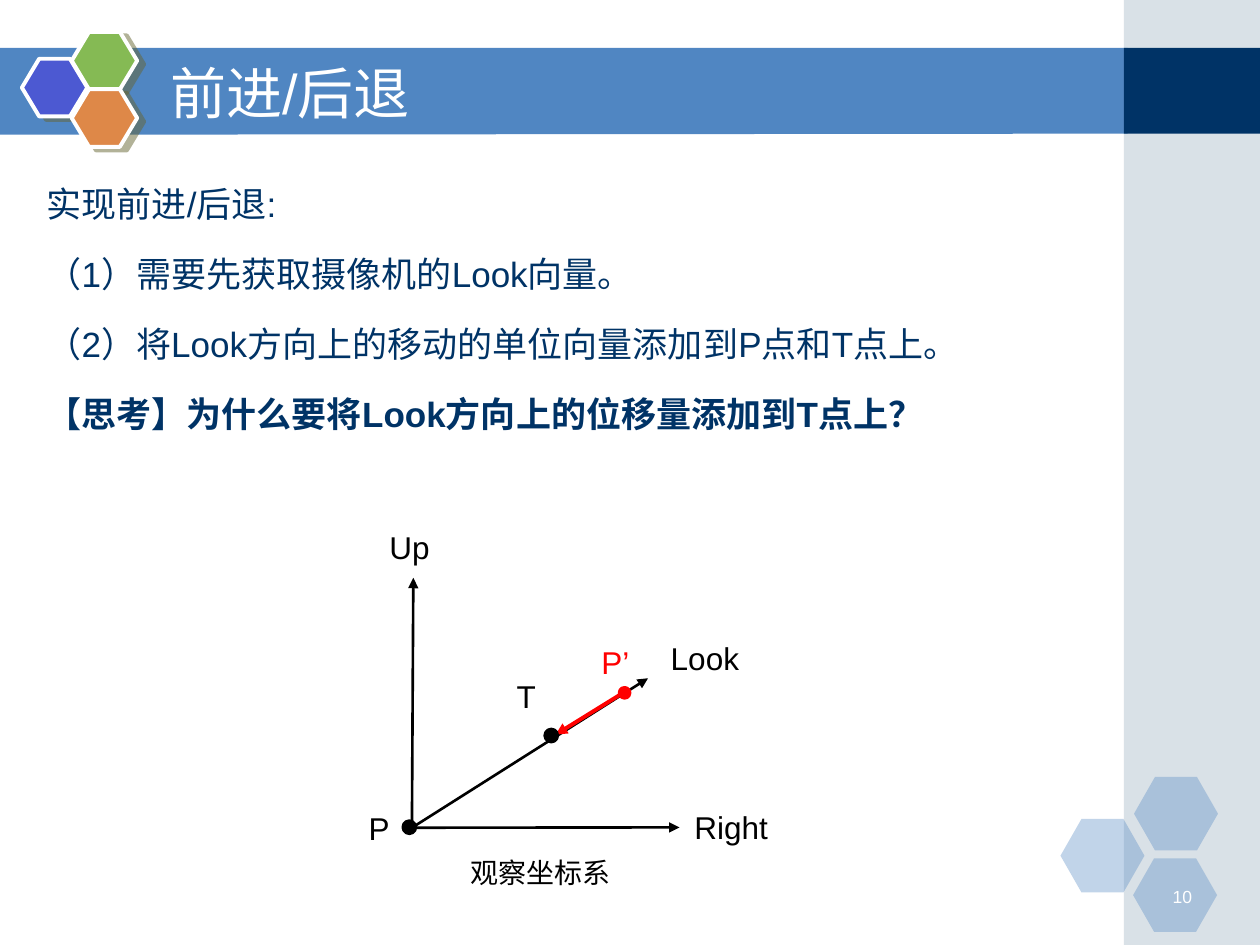
from lxml import etree
from pptx import Presentation
from pptx.dml.color import RGBColor
from pptx.enum.shapes import MSO_CONNECTOR, MSO_SHAPE
from pptx.enum.text import MSO_ANCHOR, MSO_AUTO_SIZE, PP_ALIGN
from pptx.oxml import parse_xml
from pptx.oxml.ns import qn
from pptx.util import Pt

RECT, HEX, OVAL = MSO_SHAPE.RECTANGLE, MSO_SHAPE.HEXAGON, MSO_SHAPE.OVAL
LINE = MSO_CONNECTOR.STRAIGHT
LEFT, MID, RIGHT = PP_ALIGN.LEFT, PP_ALIGN.CENTER, PP_ALIGN.RIGHT
TOP, CENTRE = MSO_ANCHOR.TOP, MSO_ANCHOR.MIDDLE
NS = "http://schemas.openxmlformats.org/drawingml/2006/main"
HUES = {
    "bar": "5086C2", "side": "A0B5C4", "navy": "003366", "white": "FFFFFF",
    "blue": "4C59D2", "green": "85BA54", "orange": "DE8848",
    "shade": "666633", "black": "000000", "red": "FF0000",
}
RGB = {name: RGBColor.from_string(hue) for name, hue in HUES.items()}


def draw(kind, box, hue, alpha=None, edge=None, width=0):
    """Add a filled shape; alpha is its opacity in percent."""
    shape = shapes.add_shape(kind, *map(Pt, box))
    shape.shadow.inherit = False
    shape.fill.solid()
    shape.fill.fore_color.rgb = RGB[hue]
    if alpha:
        tint = shape.fill._xPr.find(".//" + qn("a:srgbClr"))
        etree.SubElement(tint, qn("a:alpha"), val=str(alpha * 1000))
    if edge:
        shape.line.color.rgb = RGB[edge]
        shape.line.width = Pt(width)
    else:
        shape.line.fill.background()
    return shape


def write(shape, box, lines, size, hue, align, anchor):
    """Place a text shape and fill it with one paragraph a line."""
    shape.left, shape.top, shape.width, shape.height = map(Pt, box)
    frame = shape.text_frame
    frame.text = "\n".join(lines)
    frame.word_wrap = True
    frame.auto_size = MSO_AUTO_SIZE.NONE
    frame.vertical_anchor = anchor
    for para in frame.paragraphs:
        para.alignment = align
        para.font.size = Pt(size)
        para.font.name = "Arial"
        para.font.color.rgb = RGB[hue]
    return frame.paragraphs


deck = Presentation()
deck.slide_width, deck.slide_height = Pt(720), Pt(540)
slide = deck.slides.add_slide(deck.slide_layouts[1])
shapes = slide.shapes
title, body = shapes.title, slide.placeholders[1]

# Title bar and side strip
pen = shapes.build_freeform(Pt(-0.5), Pt(27.4))
pen.add_line_segments([(Pt(x), Pt(y)) for x, y in
                       [(644.4, 27.4), (644.4, 76.4), (-0.5, 77)]])
bar = pen.convert_to_shape()
bar.shadow.inherit = False
bar.fill.solid()
bar.fill.fore_color.rgb = RGB["bar"]
bar.line.fill.background()
draw(RECT, (642.2, 0, 77.8, 540), "side", 40)
draw(RECT, (642.2, 27.4, 77.8, 49), "navy")

# Hexagon clusters
for x, y in [(606, 468), (648, 444), (647.5, 490.5)]:
    draw(HEX, (x, y, 48, 42), "bar", 35).adjustments[0] = 0.286
for x, y, hue in [(12.5, 33.6, "blue"), (41, 18.2, "green"), (41, 51, "orange")]:
    cell = draw(HEX, (x, y, 37.4, 33), hue, None, "white", 2.25)
    cell.adjustments[0] = 0.3
    cell._element.spPr.find(qn("a:effectLst")).append(parse_xml(
        f'<a:outerShdw xmlns:a="{NS}" blurRad="0" dist="{Pt(4.5)}" '
        'dir="1620000" algn="ctr" rotWithShape="0">'
        f'<a:srgbClr val="{HUES["shade"]}"><a:alpha val="50000"/></a:srgbClr>'
        '</a:outerShdw>'))

# Title and list, brought in front of the bar
tree = title._element.getparent()
for holder in (title, body):
    tree.append(holder._element)
write(title, (90, 30.2, 527.8, 44.6), ["前进/后退"], 32, "white", LEFT, CENTRE)
paras = write(body, (19.4, 88.6, 632.9, 187.2), [
    "实现前进/后退:",
    "（1）需要先获取摄像机的Look向量。",
    "（2）将Look方向上的移动的单位向量添加到P点和T点上。",
    "【思考】为什么要将Look方向上的位移量添加到T点上？",
], 20, "navy", LEFT, TOP)
for para in paras:
    para.line_spacing = 1.5
    props = para._p.get_or_add_pPr()
    props.set("marL", "0")
    props.set("indent", "0")
    none = etree.Element(qn("a:buNone"))
    props.find(qn("a:defRPr")).addprevious(none)
paras[-1].font.bold = True

# Axes and the step from P’ to T
for x1, y1, x2, y2, hue, width in [
    (235.4, 473, 388.3, 472.8, "black", 1.5),
    (235.4, 473, 370.3, 387.6, "black", 1.5),
    (235.4, 471.6, 236.2, 330.2, "black", 1.5),
    (357.1, 395.3, 317.5, 419.8, "red", 2.25),
]:
    arrow = shapes.add_connector(LINE, Pt(x1), Pt(y1), Pt(x2), Pt(y2))
    arrow.line.color.rgb = RGB[hue]
    arrow.line.width = Pt(width)
    etree.SubElement(arrow.line._get_or_add_ln(), qn("a:tailEnd"), type="triangle")
    etree.SubElement(arrow._element.spPr, qn("a:effectLst"))

# Points
for x, y, size, hue in [(230.4, 469.2, 7, "black"), (311.5, 416.8, 7, "black"),
                        (354, 393, 5.8, "red")]:
    draw(OVAL, (x, y, size, size), hue, None, hue, 2)

# Labels
for text, box, size, hue, align, anchor in [
    ("10", (652.3, 502.6, 36, 18), 10, "white", RIGHT, TOP),
    ("P", (190, 440.8, 53.3, 65), 18, "black", MID, CENTRE),
    ("T", (274.4, 365.2, 52.6, 65), 18, "black", MID, CENTRE),
    ("观察坐标系", (172.8, 466, 272.2, 65), 16, "black", MID, CENTRE),
    ("Up", (194.4, 280.2, 79.2, 65), 18, "black", MID, CENTRE),
    ("Right", (357.8, 440, 120.2, 65), 18, "black", MID, CENTRE),
    ("Look", (342.7, 343.6, 120.2, 65), 18, "black", MID, CENTRE),
    ("P’", (335.5, 361.6, 32.4, 33), 18, "red", MID, CENTRE),
]:
    label = shapes.add_textbox(*map(Pt, box))
    write(label, box, [text], size, hue, align, anchor)

deck.save("out.pptx")
